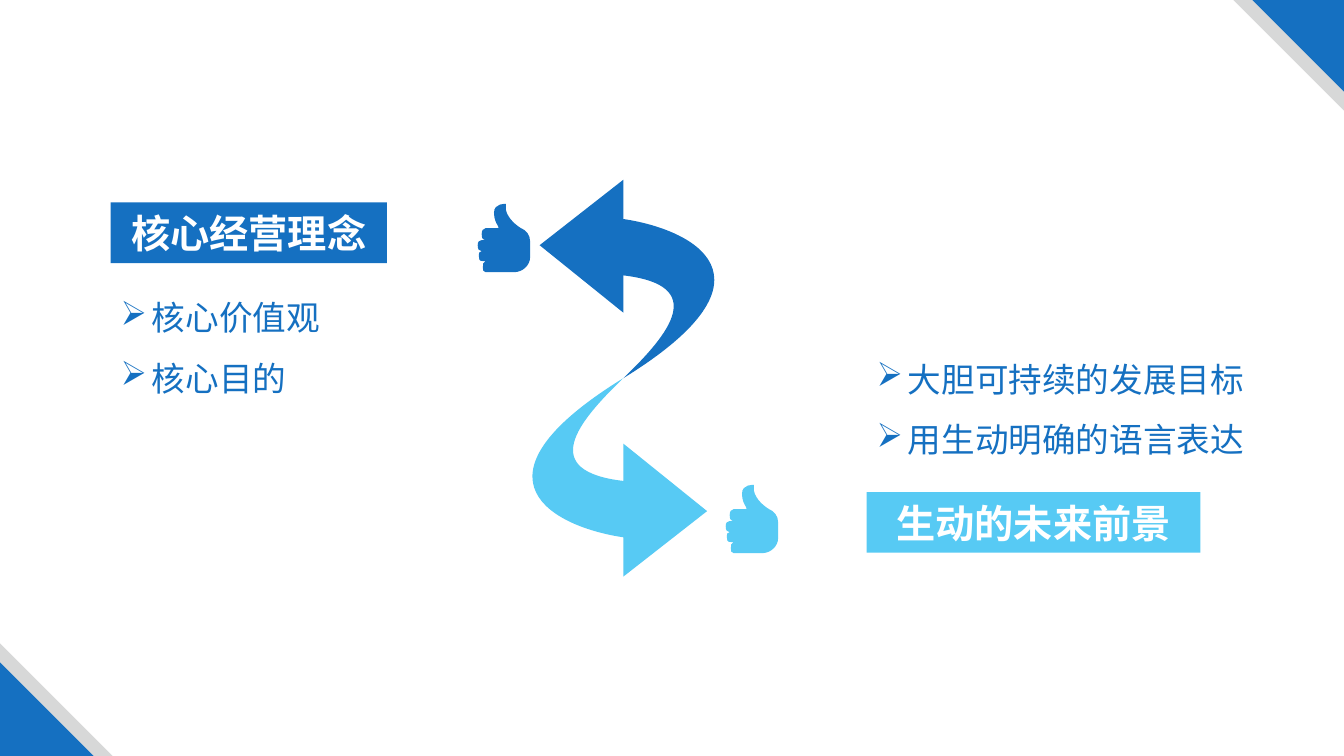
from dataclasses import dataclass
from itertools import islice

from lxml.etree import SubElement
from pptx import Presentation
from pptx.dml.color import RGBColor
from pptx.enum.shapes import MSO_SHAPE
from pptx.enum.text import MSO_ANCHOR, MSO_AUTO_SIZE, PP_ALIGN
from pptx.oxml.ns import qn
from pptx.util import Cm, Pt


@dataclass
class Theme:
    blue = RGBColor.from_string("1570C1")
    sky = RGBColor.from_string("57CAF4")
    gray = RGBColor.from_string("D7D8D8")
    white = RGBColor.from_string("FFFFFF")
    face = "Noto Sans CJK SC"
    head = Pt(28)
    body = Pt(24)


theme = Theme()


def paint(shape, color):
    shape.shadow.inherit = False
    shape.fill.solid()
    shape.fill.fore_color.rgb = color
    shape.line.fill.background()


def write(shape, lines, color, frame_vals, para_vals, font_vals, mark=None):
    frame = shape.text_frame
    for key, val in frame_vals.items():
        setattr(frame, key, val)
    for num, line in enumerate(lines):
        para = frame.add_paragraph() if num else frame.paragraphs[0]
        for key, val in para_vals.items():
            setattr(para, key, val)
        if mark:
            props = para._p.get_or_add_pPr()
            props.set("marL", str(Cm(0.79)))
            props.set("indent", str(-Cm(0.79)))
            SubElement(props, qn("a:buChar")).set("char", mark)
        run = para.add_run()
        run.text = line
        for key, val in font_vals.items():
            setattr(run.font, key, val)
        run.font.color.rgb = color
        east = SubElement(run._r.get_or_add_rPr(), qn("a:ea"))
        east.set("typeface", theme.face)


deck = Presentation()
deck.slide_width, deck.slide_height = Cm(33.87), Cm(19.05)
slide = deck.slides.add_slide(deck.slide_layouts[6])
shapes = slide.shapes

for size, color, top_right in [
    (2.79, theme.gray, True),
    (2.31, theme.blue, True),
    (2.84, theme.gray, False),
    (2.36, theme.blue, False),
]:
    left = deck.slide_width - Cm(size) if top_right else 0
    top = 0 if top_right else deck.slide_height - Cm(size)
    wedge = shapes.add_shape(MSO_SHAPE.RIGHT_TRIANGLE, left, top, Cm(size), Cm(size))
    wedge.rotation = 180 if top_right else 0
    paint(wedge, color)

arrow = [
    (0, -4.01), (0, -5), (-2.11, -3.35), (0, -1.65), (0, -2.59),
    (2.13, -2.34, 1.19, -1.14, 0, 0),
    (4.17, -2.57, 1.7, -3.76, 0, -4.01),
]
thumb = [
    (0, 1.07),
    (0, 1.17, 0.03, 1.22, 0.1, 1.22),
    (0.03, 1.22, 0.03, 1.27, 0.03, 1.35),
    (0.03, 1.42, 0.03, 1.47, 0.13, 1.47),
    (0.2, 1.47),
    (0.13, 1.5, 0.13, 1.55, 0.13, 1.63),
    (0.13, 1.68, 0.13, 1.75, 0.2, 1.75),
    (0.91, 1.75),
    (1.14, 1.75, 1.32, 1.57, 1.32, 1.37),
    (1.32, 0.97),
    (1.32, 0.81, 1.22, 0.69, 1.09, 0.64),
    (0.99, 0.58, 0.76, 0.41, 0.71, 0.18),
    (0.71, 0.03),
    (0.71, 0.03, 0.41, 0, 0.41, 0.25),
    (0.41, 0.58, 0.64, 0.64, 0.46, 0.64),
    (0.2, 0.64),
    (0.13, 0.64, 0.1, 0.71, 0.1, 0.79),
    (0.1, 0.86, 0.1, 0.91, 0.18, 0.94),
    (0.1, 0.94),
    (0.03, 0.94, 0, 0.99, 0, 1.07),
]

for steps, left, top, sign, color in [
    (arrow, 15.71, 9.53, 1, theme.blue),
    (arrow, 15.71, 9.53, -1, theme.sky),
    (thumb, 12.04, 5.11, 1, theme.blue),
    (thumb, 18.29, 12.19, 1, theme.sky),
]:
    spots = [
        (Cm(sign * x), Cm(sign * y))
        for step in steps
        for x, y in zip(step[::2], step[1::2])
    ]
    pen = shapes.build_freeform(*spots[0])
    pen.add_line_segments(spots[1:], close=True)
    form = pen.convert_to_shape(Cm(left), Cm(top))
    paint(form, color)
    lines = iter(list(form._element.iter(qn("a:lnTo"))))
    for step in steps[1:]:
        group = list(islice(lines, len(step) // 2))
        if len(group) == 3:
            curve = group[0].makeelement(qn("a:cubicBezTo"))
            group[0].addprevious(curve)
            for line in group:
                curve.append(line[0])
                line.getparent().remove(line)

head_frame = {
    "margin_left": Cm(0.33), "margin_right": Cm(0.33),
    "margin_top": Cm(0.18), "margin_bottom": Cm(0.18),
    "word_wrap": True, "vertical_anchor": MSO_ANCHOR.MIDDLE,
    "auto_size": MSO_AUTO_SIZE.SHAPE_TO_FIT_TEXT,
}
head_font = {"name": theme.face, "size": theme.head, "bold": True}
list_frame = {"word_wrap": True, "auto_size": MSO_AUTO_SIZE.SHAPE_TO_FIT_TEXT}
list_font = {"name": theme.face, "size": theme.body}

for title, left, top, width, color, points, list_top, list_width in [
    ("核心经营理念", 2.79, 5.1, 6.96, theme.blue,
     ["核心价值观", "核心目的"], 6.86, 11.84),
    ("生动的未来前景", 21.84, 12.4, 8.41, theme.sky,
     ["大胆可持续的发展目标", "用生动明确的语言表达"], 8.41, 11.33),
]:
    head = shapes.add_shape(MSO_SHAPE.RECTANGLE, Cm(left), Cm(top), Cm(width), Cm(1.53))
    paint(head, color)
    write(head, [title], theme.white, head_frame,
          {"alignment": PP_ALIGN.CENTER}, head_font)
    box = shapes.add_textbox(Cm(left), Cm(list_top), Cm(list_width), Cm(3.33))
    write(box, points, theme.blue, list_frame,
          {"line_spacing": 1.5}, list_font, "➢")

deck.save("out.pptx")
